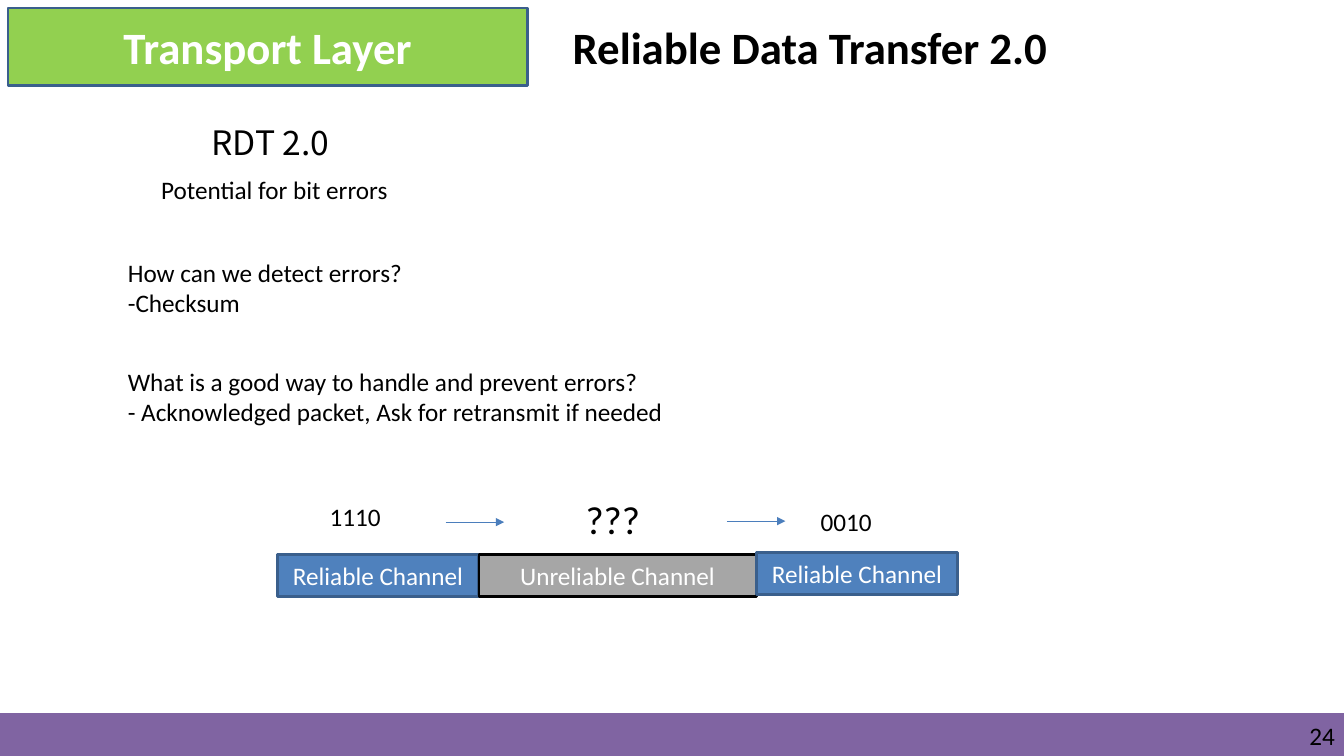
from dataclasses import dataclass

from lxml import etree
from pptx import Presentation
from pptx import util as u
from pptx.dml.color import RGBColor
from pptx.enum import shapes, text
from pptx.oxml import ns

PX = u.Inches(1) // 100


@dataclass(frozen=True)
class Theme:
    font: str = "Calibri"
    subtitle_font: str = "Noto Sans CJK KR"
    black: str = "000000"
    white: str = "FFFFFF"
    green: str = "92D050"
    blue: str = "4F81BD"
    outline: str = "3A5F8C"
    arrow: str = "4B7EBC"
    grey: str = "A6A6A6"
    purple: str = "8064A2"
    title: int = 32
    question: int = 28
    subtitle: int = 24
    body: int = 18


THEME = Theme()


@dataclass(frozen=True)
class Box:
    x: int
    y: int
    w: int
    h: int
    fill: str
    line: str
    label: str = ""
    size: int = THEME.body
    bold: bool = False
    line_width: float = 2


@dataclass(frozen=True)
class Label:
    x: int
    y: int
    w: int
    h: int
    lines: tuple[str, ...]
    size: int = THEME.body
    font: str = THEME.font


@dataclass(frozen=True)
class Arrow:
    x: int
    y: int
    length: int = 58


BOXES = (
    Box(0, 708, 1333, 42, THEME.purple, THEME.purple, line_width=1),
    Box(8, 8, 515, 77, THEME.green, THEME.outline, "Transport Layer", THEME.title, True),
    Box(275, 550, 200, 42, THEME.blue, THEME.outline, "Reliable Channel"),
    Box(475, 550, 275, 42, THEME.grey, THEME.black, "Unreliable Channel"),
    Box(750, 548, 200, 42, THEME.blue, THEME.outline, "Reliable Channel"),
)

LABELS = (
    Label(200, 116, 154, 50, ("RDT 2.0",), THEME.subtitle, THEME.subtitle_font),
    Label(150, 168, 261, 40, ("Potential for bit errors",)),
    Label(117, 250, 320, 71, ("How can we detect errors?", "-Checksum")),
    Label(117, 358, 604, 71, (
        "What is a good way to handle and prevent errors?",
        "- Acknowledged packet, Ask for retransmit if needed",
    )),
    Label(317, 492, 76, 40, ("1110",)),
    Label(804, 497, 76, 40, ("0010",)),
    Label(571, 486, 86, 57, ("???",), THEME.question),
)

ARROWS = (Arrow(442, 518), Arrow(721, 517))


def rgb(value: str) -> RGBColor:
    return RGBColor.from_string(value)


def write(tf, lines: tuple[str, ...], size: int, color: str, align,
          bold: bool = False, font: str = THEME.font) -> None:
    for i, line in enumerate(lines):
        p = tf.add_paragraph() if i else tf.paragraphs[0]
        p.text = line
        p.alignment = align
        p.font.name = font
        p.font.size = u.Pt(size)
        p.font.bold = bold
        p.font.color.rgb = rgb(color)


def add_title(s, title: str) -> None:
    sp = s.shapes.title
    sp.left, sp.top, sp.width, sp.height = (v * PX for v in (558, 15, 568, 64))
    tf = sp.text_frame
    tf.word_wrap = False
    tf.auto_size = text.MSO_AUTO_SIZE.NONE
    tf.vertical_anchor = text.MSO_ANCHOR.TOP
    write(tf, (title,), THEME.title, THEME.black, text.PP_ALIGN.LEFT, True)


def add_box(s, box: Box) -> None:
    sp = s.shapes.add_shape(shapes.MSO_SHAPE.RECTANGLE, box.x * PX, box.y * PX,
                            box.w * PX, box.h * PX)
    sp.shadow.inherit = False
    sp.fill.solid()
    sp.fill.fore_color.rgb = rgb(box.fill)
    sp.line.color.rgb = rgb(box.line)
    sp.line.width = u.Pt(box.line_width)
    if box.label:
        tf = sp.text_frame
        tf.vertical_anchor = text.MSO_ANCHOR.MIDDLE
        write(tf, (box.label,), box.size, THEME.white, text.PP_ALIGN.CENTER, box.bold)


def add_label(s, label: Label) -> None:
    sp = s.shapes.add_textbox(label.x * PX, label.y * PX, label.w * PX, label.h * PX)
    tf = sp.text_frame
    tf.word_wrap = False
    write(tf, label.lines, label.size, THEME.black, text.PP_ALIGN.LEFT, font=label.font)


def add_page_number(s, number: str) -> None:
    tf = s.shapes.add_textbox(1017 * PX, 715 * PX, 307 * PX, 30 * PX).text_frame
    tf.word_wrap = True
    tf.margin_left = tf.margin_top = tf.margin_right = tf.margin_bottom = 0
    write(tf, (number,), THEME.body, THEME.black, text.PP_ALIGN.RIGHT)


def add_arrow(s, arrow: Arrow) -> None:
    c = s.shapes.add_connector(shapes.MSO_CONNECTOR.STRAIGHT, arrow.x * PX, arrow.y * PX,
                               (arrow.x + arrow.length) * PX, arrow.y * PX)
    c.line.color.rgb = rgb(THEME.arrow)
    c.line.width = u.Pt(0.75)
    sp_pr = c._element.spPr
    etree.SubElement(sp_pr.find(ns.qn("a:ln")), ns.qn("a:tailEnd"), type="triangle")
    etree.SubElement(sp_pr, ns.qn("a:effectLst"))


def main() -> None:
    prs = Presentation()
    prs.slide_width, prs.slide_height = u.Inches(13.33), u.Inches(7.5)
    s = prs.slides.add_slide(prs.slide_layouts.get_by_name("Title Only"))
    add_title(s, "Reliable Data Transfer 2.0")
    for box in BOXES:
        add_box(s, box)
    for label in LABELS:
        add_label(s, label)
    for arrow in ARROWS:
        add_arrow(s, arrow)
    add_page_number(s, "24")
    prs.save("out.pptx")


if __name__ == "__main__":
    main()
